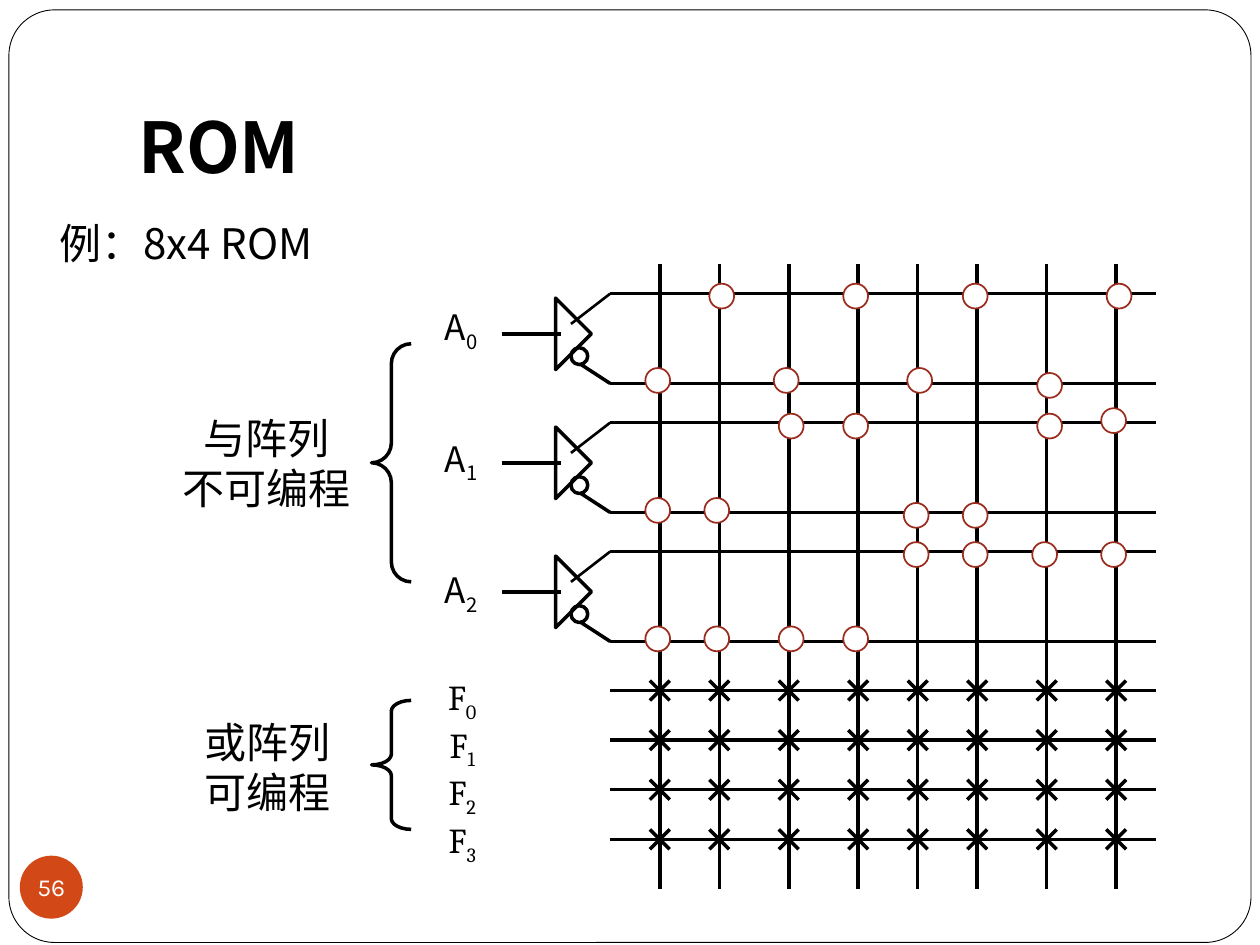
from dataclasses import dataclass
from typing import Optional

from lxml.etree import SubElement
from pptx import Presentation
from pptx.dml.color import RGBColor
from pptx.enum.shapes import MSO_CONNECTOR, MSO_SHAPE
from pptx.enum.text import MSO_ANCHOR, PP_ALIGN
from pptx.oxml.ns import qn
from pptx.util import Cm, Pt

SANS = "Noto Sans CJK JP"
COLUMNS = (13.3, 14.5, 15.9, 17.3, 18.5, 19.7, 21.1, 22.5)
BUFFER_ROWS = [6.73 + 2.6 * index for index in range(3)]
OR_ROWS = [13.92 + index for index in range(4)]
RAIL_LEFT, RAIL_RIGHT = 12.3, 23.3
TRUE_RAIL, INVERTED_RAIL = -0.81, 1.0
FIXED_DOTS = {
    5.97: (14.55, 17.25, 19.66, 22.56),
    7.67: (13.26, 15.85, 18.54),
    7.77: (21.16,),
    8.48: (22.45,),
    8.59: (15.95, 17.25, 21.16),
    10.29: (13.26, 14.45),
    10.39: (18.47, 19.66),
    11.18: (18.47, 19.66, 21.06, 22.45),
    12.88: (13.26, 14.45, 15.95, 17.25),
}


@dataclass(frozen=True)
class Box:
    left: float
    top: float
    width: float
    height: float

    def lengths(self):
        return Cm(self.left), Cm(self.top), Cm(self.width), Cm(self.height)


@dataclass(frozen=True)
class Label:
    box: Box
    lines: tuple
    size: int
    font: str = SANS
    line_height: Optional[float] = None
    gap: float = 0
    subscripts: bool = False


LABELS = (
    Label(Box(0.79, 4.27, 5.92, 1.27), ("例：8x4 ROM",), 24, line_height=28.6),
    Label(Box(8.66, 6.12, 1.27, 6.17), ("A0", "A1", "A2"), 20,
          line_height=25, gap=50, subscripts=True),
    Label(Box(3.4, 8.2, 3.94, 2.31), ("与阵列", "不可编程"), 24, line_height=28.6),
    Label(Box(8.71, 13.49, 1.22, 3.63), ("F0", "F1", "F2", "F3"), 20,
          font="Cambria", subscripts=True),
    Label(Box(3.86, 14.32, 3.05, 2.29), ("或阵列", "可编程"), 24,
          font="Cambria", line_height=28.6),
)


def color(value: str) -> RGBColor:
    return RGBColor.from_string(value)


def style_span(span, size: int, font: str = SANS, ink: str = "000000", bold: bool = False) -> None:
    span.font.size = Pt(size)
    span.font.name = font
    span.font.bold = bold
    span.font.color.rgb = color(ink)
    SubElement(span.font._element, qn("a:ea")).set("typeface", SANS)


def add_outline(page, kind, box: Box, fill: Optional[str] = None,
                line: Optional[str] = "000000", weight: float = 2):
    shape = page.shapes.add_shape(kind, *box.lengths())
    shape.shadow.inherit = False
    if fill:
        shape.fill.solid()
        shape.fill.fore_color.rgb = color(fill)
    else:
        shape.fill.background()
    if line:
        shape.line.color.rgb = color(line)
        shape.line.width = Pt(weight)
    else:
        shape.line.fill.background()
    return shape


def add_wire(page, x1: float, y1: float, x2: float, y2: float, weight: float = 2) -> None:
    wire = page.shapes.add_connector(MSO_CONNECTOR.STRAIGHT, Cm(x1), Cm(y1), Cm(x2), Cm(y2))
    wire.line.color.rgb = color("000000")
    wire.line.width = Pt(weight)
    SubElement(wire._element.spPr, qn("a:effectLst"))


def add_label(page, label: Label) -> None:
    frame = page.shapes.add_textbox(*label.box.lengths()).text_frame
    frame.word_wrap = False
    frame.text = "\n".join(label.lines)
    for index, para in enumerate(frame.paragraphs):
        para.alignment = PP_ALIGN.CENTER
        if label.line_height:
            para.line_spacing = Pt(label.line_height)
        if index and label.gap:
            para.space_before = Pt(label.gap)
        if label.subscripts:
            letter, digit = para.text
            para.text = letter
            para.add_run().text = digit
            para.runs[1].font._element.set("baseline", "-25000")
        for span in para.runs:
            style_span(span, label.size, label.font)


def add_buffer(page, y: float) -> None:
    triangle = add_outline(page, MSO_SHAPE.RIGHT_TRIANGLE, Box(10.69, y - 0.51, 1.02, 1.02))
    triangle.rotation = 225
    add_outline(page, MSO_SHAPE.OVAL, Box(11.51, y + 0.28, 0.34, 0.34))
    add_wire(page, 11.7, y + 0.61, RAIL_LEFT, y + INVERTED_RAIL)
    add_wire(page, 11.51, y - 0.2, RAIL_LEFT, y + TRUE_RAIL, 1.5)
    add_wire(page, 10.11, y, 11.31, y)
    for offset in (TRUE_RAIL, INVERTED_RAIL):
        add_wire(page, RAIL_LEFT, y + offset, RAIL_RIGHT, y + offset)


def add_cross(page, x: float, y: float, reach: float = 0.2) -> None:
    for rise in (reach, -reach):
        add_wire(page, x + reach, y - rise, x - reach, y + rise)


def add_brace(page, box: Box, curve: float) -> None:
    brace = add_outline(page, MSO_SHAPE.LEFT_BRACE, box)
    brace.adjustments[0] = curve
    brace.adjustments[1] = 0.5


def add_frame(page) -> None:
    panel = add_outline(page, MSO_SHAPE.ROUNDED_RECTANGLE, Box(0.18, 0.2, 25.04, 18.8),
                        "FFFFFF", weight=0.5)
    panel.adjustments[0] = 0.049
    title = page.shapes.add_textbox(*Box(2.54, 0.76, 21.59, 3.18).lengths()).text_frame
    title.word_wrap = True
    title.vertical_anchor = MSO_ANCHOR.BOTTOM
    title.margin_bottom = Cm(0.15)
    title.text = "ROM"
    style_span(title.paragraphs[0].runs[0], 40, bold=True)
    badge = add_outline(page, MSO_SHAPE.OVAL, Box(0.4, 17.25, 1.27, 1.27), "D34817", None)
    number = badge.text_frame
    number.margin_left = number.margin_right = number.margin_top = number.margin_bottom = 0
    number.word_wrap = False
    number.vertical_anchor = MSO_ANCHOR.MIDDLE
    number.text = "56"
    number.paragraphs[0].alignment = PP_ALIGN.CENTER
    style_span(number.paragraphs[0].runs[0], 14, "Karla", "FFFFFF")


def main() -> None:
    """Build the slide showing the array structure of an 8x4 ROM."""
    deck = Presentation()
    deck.slide_width, deck.slide_height = Cm(25.4), Cm(19.05)
    page = deck.slides.add_slide(deck.slide_layouts[6])
    add_frame(page)
    for x in COLUMNS:
        add_wire(page, x, 5.33, x, 17.93)
    for y in BUFFER_ROWS:
        add_buffer(page, y)
    for y, centers in FIXED_DOTS.items():
        for x in centers:
            add_outline(page, MSO_SHAPE.OVAL, Box(x - 0.25, y - 0.25, 0.5, 0.5),
                        "FFFFFF", "9B2D1F", 1)
    for y in OR_ROWS:
        add_wire(page, RAIL_LEFT, y, RAIL_RIGHT, y)
        for x in COLUMNS:
            add_cross(page, x, y)
    add_brace(page, Box(7.49, 6.93, 0.8, 4.8), 0.5)
    add_brace(page, Box(7.49, 14.12, 0.8, 2.6), 0.27)
    for label in LABELS:
        add_label(page, label)
    deck.save("out.pptx")


if __name__ == "__main__":
    main()
